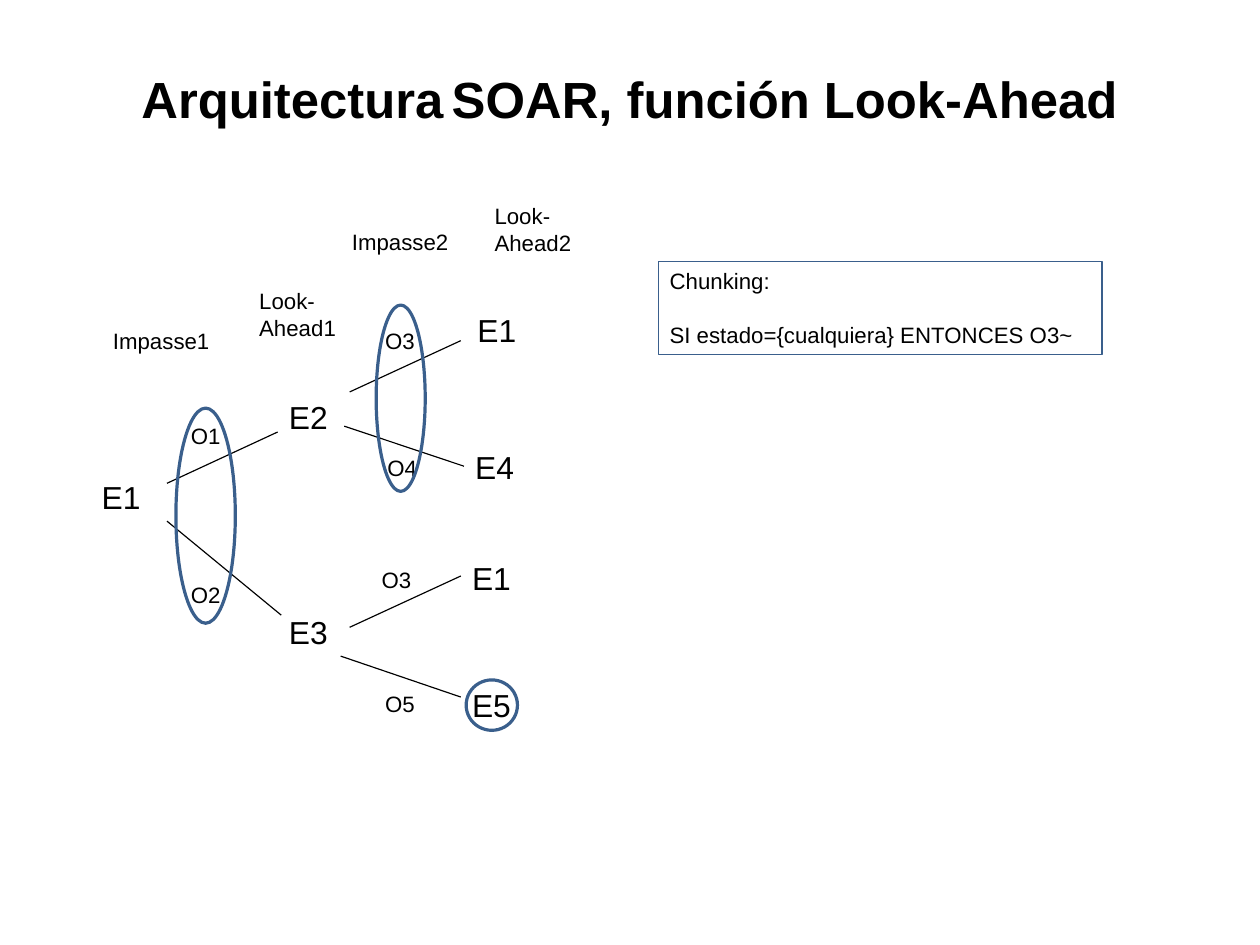
"""Builds a slide with the search tree of the SOAR look-ahead function."""
from pptx import Presentation, util as u
from pptx.dml.color import RGBColor
from pptx.enum import shapes, text
from pptx.oxml.ns import qn
from lxml import etree

BLACK, BLUE = "000000", "3A5F8C"
TITLE = [[("Arquitectura", 32, True), (" ", 18, False),
          ("SOAR, función Look-Ahead", 32, True)]]
TITLE_AREA = (1.4, 0.43, 25.2, 3.51)
CHUNKING = [[("Chunking:", 14, False)],
            [("SI estado={cualquiera} ENTONCES O3~", 14, False)]]
CHUNKING_AREA = (14.63, 5.82, 9.86, 2.06)

STATE_SIZE = (1.5, 1.12)
STATES = [("E1", 2.01, 10.49), ("E2", 6.17, 8.71), ("E3", 6.17, 13.49),
          ("E1", 10.36, 6.78), ("E4", 10.31, 9.83),
          ("E1", 10.24, 12.29), ("E5", 10.24, 15.11)]
OPERATOR_SIZE = (1.32, 0.86)
OPERATORS = [("O1", 3.99, 9.27), ("O2", 3.99, 12.8), ("O3", 8.31, 7.14),
             ("O4", 8.36, 9.96), ("O3", 8.23, 12.45), ("O5", 8.31, 15.21)]
CAPTIONS = [("Impasse1", 2.26, 7.14, 3.25, 0.86),
            ("Look-Ahead1", 5.51, 6.27, 2.26, 1.45),
            ("Impasse2", 7.57, 4.95, 2.79, 0.86),
            ("Look-Ahead2", 10.74, 4.37, 2.72, 1.45)]
BRANCHES = [(3.71, 10.74, 6.17, 9.6), (3.71, 11.58, 6.25, 13.67),
            (7.77, 8.71, 10.24, 7.57), (7.65, 9.47, 10.31, 10.36),
            (7.77, 13.94, 10.24, 12.8), (7.57, 14.58, 10.24, 15.49)]
RINGS = [(3.91, 9.07, 1.32, 4.78), (8.36, 6.78, 1.09, 4.14),
         (10.36, 15.11, 1.14, 1.12)]


def cm(lengths):
    return [u.Cm(length) for length in lengths]


def color(value):
    return RGBColor.from_string(value)


def write(box, paragraphs, align=text.PP_ALIGN.LEFT, anchor=text.MSO_ANCHOR.TOP):
    frame = box.text_frame
    frame.word_wrap = True
    frame.vertical_anchor = anchor
    for index, spans in enumerate(paragraphs):
        para = frame.add_paragraph() if index else frame.paragraphs[0]
        para.alignment = align
        para.space_before = u.Pt(17 if index else 0)
        for words, size, bold in spans:
            span = para.add_run()
            span.text = words
            span.font.name = "Arial"
            span.font.size = u.Pt(size)
            span.font.bold = bold
            span.font.color.rgb = color(BLACK)


def add_label(page, words, area, size):
    write(page.shapes.add_textbox(*cm(area)), [[(words, size, False)]])


def add_outline(page, kind, area, width):
    outline = page.shapes.add_shape(kind, *cm(area))
    outline.shadow.inherit = False
    outline.fill.background()
    outline.line.color.rgb = color(BLUE)
    outline.line.width = u.Pt(width)
    return outline


def add_branch(page, ends):
    branch = page.shapes.add_connector(shapes.MSO_CONNECTOR.STRAIGHT, *cm(ends))
    branch.line.color.rgb = color(BLACK)
    branch.line.width = u.Pt(0.75)
    etree.SubElement(branch._element.spPr, qn("a:effectLst"))


def main():
    deck = Presentation()
    deck.slide_width, deck.slide_height = cm((28, 21))
    page = deck.slides.add_slide(deck.slide_layouts[6])

    write(page.shapes.add_textbox(*cm(TITLE_AREA)), TITLE,
          text.PP_ALIGN.CENTER, text.MSO_ANCHOR.MIDDLE)
    for ends in BRANCHES:
        add_branch(page, ends)
    for name, *corner in STATES:
        add_label(page, name, (*corner, *STATE_SIZE), 20)
    for name, *corner in OPERATORS:
        add_label(page, name, (*corner, *OPERATOR_SIZE), 14)
    for name, *area in CAPTIONS:
        add_label(page, name, area, 14)
    for area in RINGS:
        add_outline(page, shapes.MSO_SHAPE.OVAL, area, 2)
    write(add_outline(page, shapes.MSO_SHAPE.RECTANGLE, CHUNKING_AREA, 0.75),
          CHUNKING)

    deck.save("out.pptx")


if __name__ == "__main__":
    main()
